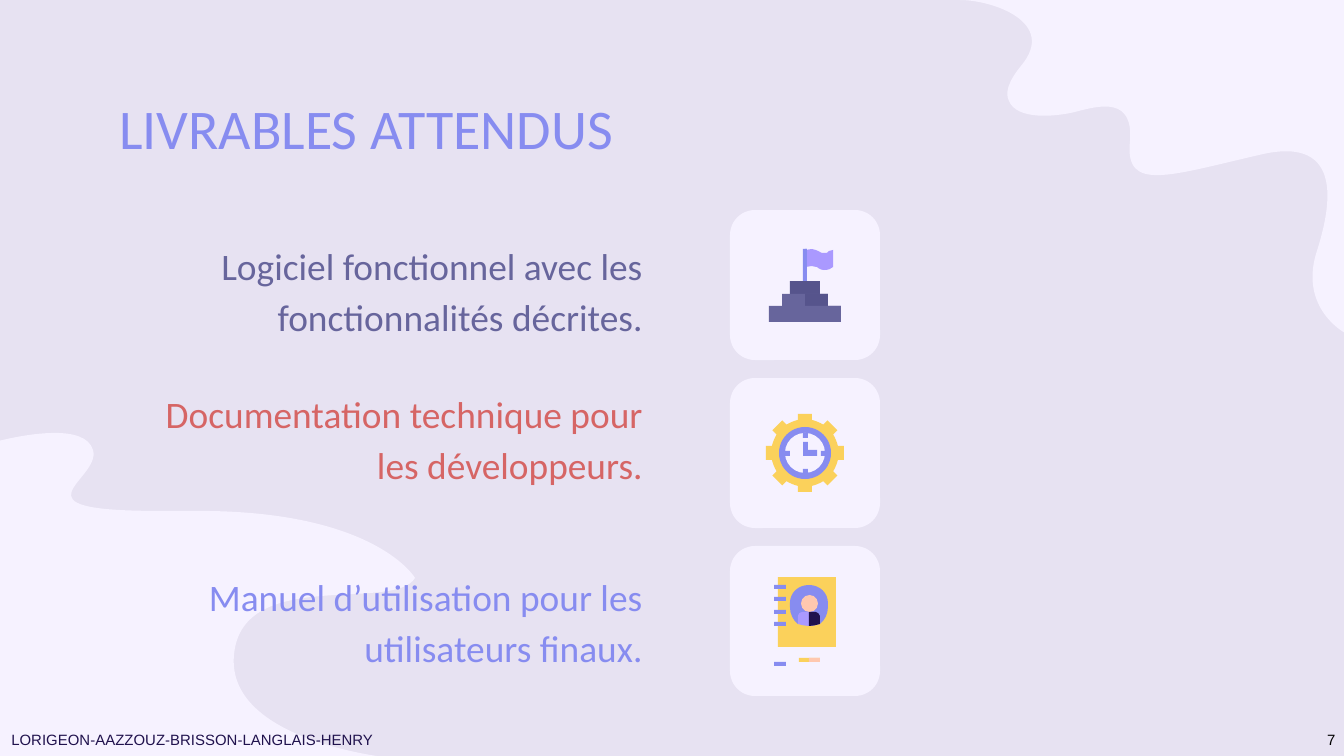
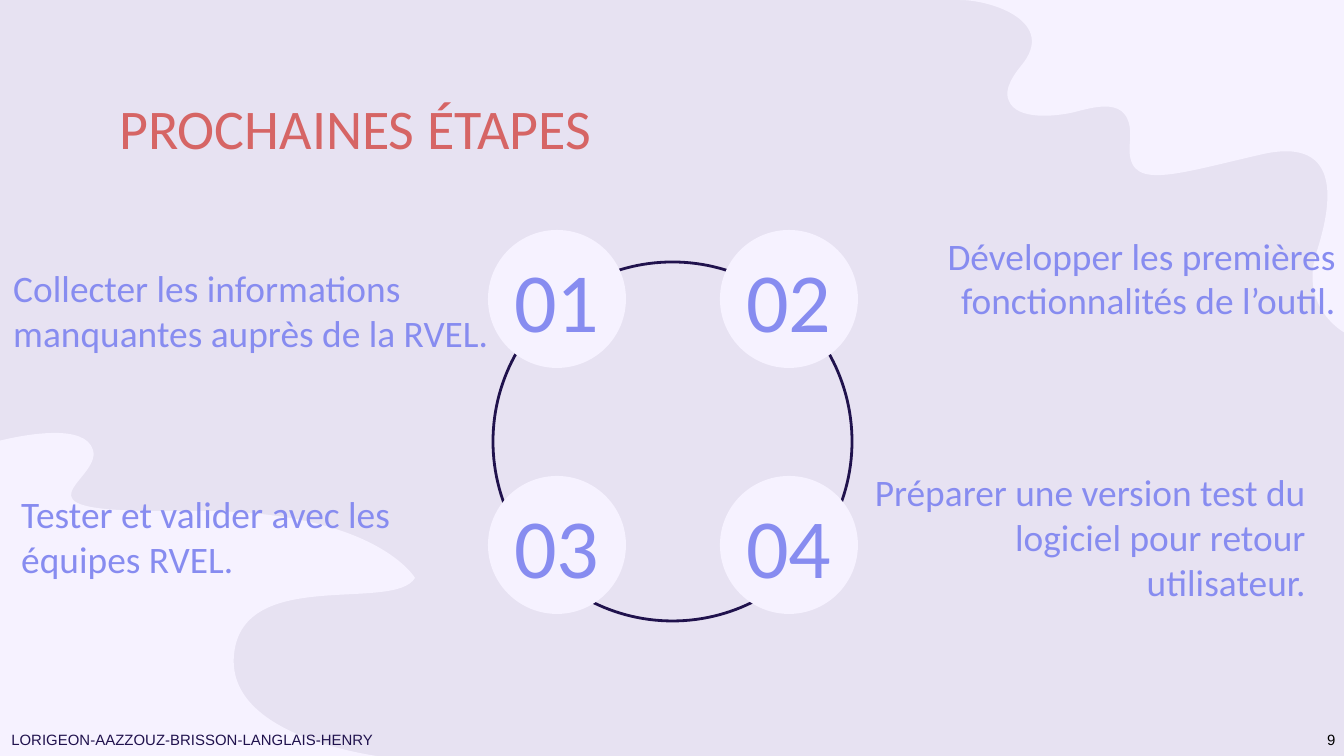
import math

from lxml import etree
from pptx import Presentation
from pptx import util as u
from pptx.dml.color import RGBColor
from pptx.enum import shapes, text
from pptx.oxml.ns import qn

PX = 914400 / 134.4
WIDTH, HEIGHT = 1344, 756

LILAC, PALE, NAVY, BLACK = "E7E2F2", "F6F2FF", "20124D", "000000"
BLUE, RED, SLATE, DARK_SLATE = "878CF0", "D66565", "67659C", "56548C"
VIOLET, YELLOW, PEACH = "AA99FF", "FBD15B", "FFC8AF"

RECT = shapes.MSO_SHAPE.RECTANGLE
ROUND = shapes.MSO_SHAPE.ROUNDED_RECTANGLE
OVAL = shapes.MSO_SHAPE.OVAL
ALIGN = {"l": text.PP_ALIGN.LEFT, "c": text.PP_ALIGN.CENTER, "r": text.PP_ALIGN.RIGHT}

TEAM = "LORIGEON-AAZZOUZ-BRISSON-LANGLAIS-HENRY"

# Outlines: a pair is a line to a point, six numbers are a cubic curve.
TOP_BLOB = [
    (1316, 254), (1329, 214, 1349, 133, 1259, 155),
    (1168, 176, 1125, 192, 1130, 142), (1134, 97, 1101, 105, 1075, 112),
    (1054, 117, 1017, 120, 1009, 101), (1005, 93, 1008, 82, 1021, 66),
    (1058, 22, 992, 0, 960, 0), (1345, 0), (1345, 333),
    (1345, 333, 1300, 309, 1316, 254),
]
BOTTOM_BLOB = [
    (55, 433), (73, 433, 89, 437, 93, 450), (102, 480, 5, 511, 159, 511),
    (167, 511, 176, 511, 185, 511), (190, 511, 194, 511, 199, 511),
    (376, 511, 415, 578, 415, 578), (394, 613, 242, 566, 234, 655),
    (226, 742, 391, 758, 391, 758), (-5, 758), (-5, 442),
    (-5, 442, 27, 433, 55, 433),
]
FLAG = [
    (812, 249), (809, 249, 806, 250, 805, 251), (805, 269), (806, 267),
    (808, 267, 809, 266, 812, 266), (813, 266, 814, 267, 817, 267),
    (817, 267, 820, 270, 824, 270), (828, 270, 831, 269, 833, 267),
    (833, 250), (829, 251), (828, 253, 827, 253, 824, 253),
    (823, 253, 820, 253, 818, 251), (818, 251, 814, 249, 812, 249),
]
CLOCK_HANDS = [(803, 442), (803, 456), (817, 456), (817, 450), (808, 450), (808, 442)]
HAIR = [
    (809, 585), (798, 585, 790, 593, 790, 603), (790, 607),
    (790, 614, 793, 620, 798, 624), (802, 616), (816, 616), (820, 624),
    (825, 620, 828, 614, 828, 607), (828, 603), (828, 593, 820, 585, 809, 585),
]
RIGHT_BUST = [
    (809, 626), (813, 626, 816, 625, 820, 624), (820, 616),
    (820, 614, 817, 612, 816, 612),
]
BUST = [
    (802, 612), (800, 612, 798, 614, 798, 616), (798, 624),
    (802, 625, 805, 626, 809, 626),
] + RIGHT_BUST[1:]


def px(n):
    return u.Emu(round(n * PX))


def rgb(color):
    return RGBColor.from_string(color)


def paint(sp, fill, line=None, weight=1.5):
    sp.shadow.inherit = False
    sp.fill.solid()
    sp.fill.fore_color.rgb = rgb(fill)
    if line:
        sp.line.color.rgb = rgb(line)
        sp.line.width = u.Pt(weight)
    else:
        sp.line.fill.background()


def add_preset(parent, kind, x, y, w, h, fill, **line):
    sp = parent.shapes.add_shape(kind, px(x), px(y), px(w), px(h))
    paint(sp, fill, **line)
    return sp


def add_outline(parent, outline, fill):
    """Draw a closed outline, joining the three points of each curve into one segment."""
    points = [(px(part[i]), px(part[i + 1]))
              for part in outline for i in range(0, len(part), 2)]
    builder = parent.shapes.build_freeform(*points[0], scale=1.0)
    builder.add_line_segments(points[1:], close=True)
    sp = builder.convert_to_shape()
    lines = iter(list(sp._element.iter(qn("a:lnTo"))))
    for part in outline[1:]:
        first = next(lines)
        if len(part) == 6:
            curve = etree.Element(qn("a:cubicBezTo"))
            first.addprevious(curve)
            for segment in (first, next(lines), next(lines)):
                curve.append(segment[0])
                segment.getparent().remove(segment)
    paint(sp, fill)


def write(slide, words, x, y, w, h, *, size=20, color=BLUE, font="Calibri", align="l",
          middle=False, wrap=True, inset=0.1, spacing=None, after=None):
    tf = slide.shapes.add_textbox(px(x), px(y), px(w), px(h)).text_frame
    tf.word_wrap = wrap
    tf.vertical_anchor = text.MSO_ANCHOR.MIDDLE if middle else text.MSO_ANCHOR.TOP
    tf.margin_left = tf.margin_right = u.Inches(0.1)
    tf.margin_top = tf.margin_bottom = u.Inches(inset)
    p = tf.paragraphs[0]
    p.alignment = ALIGN[align]
    if spacing:
        p.line_spacing = spacing
    if after:
        p.space_after = u.Pt(after)
    r = p.add_run()
    r.text = words
    r.font.name, r.font.size, r.font.color.rgb = font, u.Pt(size), rgb(color)


def add_slide(prs, title, title_color, number):
    """Add a slide with the shared background, blobs, title and footer."""
    slide = prs.slides.add_slide(prs.slide_layouts[6])
    slide.background.fill.solid()
    slide.background.fill.fore_color.rgb = rgb(LILAC)
    for blob in (TOP_BLOB, BOTTOM_BLOB):
        add_outline(slide, blob, PALE)
    write(slide, title, 106, 80, 1133, 85, size=30, color=title_color)
    footer = dict(size=8, font="Arial", align="c", wrap=False, inset=0.05)
    write(slide, TEAM, -3, 724, 391, 32, color=NAVY, **footer)
    write(slide, str(number), 1314, 724, 31, 32, color=BLACK, **footer)
    return slide


def gear_outline(cx, cy, teeth=8):
    """One tooth, rounded towards its neighbours, turned around the centre."""
    tooth = [(32, -11, 33, -7), (39, -7), (39, 7), (33, 7), (32, 11)]
    outline, leaving = [], ()
    for i in range(teeth + 1):
        turn = 2 * math.pi * i / teeth
        cos, sin = math.cos(turn), math.sin(turn)
        turned = [tuple(n for x, y in zip(part[::2], part[1::2])
                        for n in (cx + x * cos - y * sin, cy + x * sin + y * cos))
                  for part in tooth]
        arriving = turned[0]
        outline.append(leaving + arriving if leaving else arriving[2:])
        if i < teeth:
            outline += turned[1:4]
            leaving = turned[4]
    return outline


def add_flag_icon(slide):
    icon = slide.shapes.add_group_shape()
    add_outline(icon, FLAG, VIOLET)
    for x, y, w, h, fill in (
        (803, 249, 4, 36, BLUE), (805, 249, 2, 36, BLUE),
        (790, 281, 30, 17, DARK_SLATE), (805, 281, 15, 17, DARK_SLATE),
        (782, 294, 46, 17, SLATE), (769, 306, 72, 16, SLATE),
        (805, 294, 23, 17, DARK_SLATE), (805, 306, 36, 16, SLATE),
    ):
        add_preset(icon, RECT, x, y, w, h, fill)


def add_clock_icon(slide):
    icon = slide.shapes.add_group_shape()
    cx, cy = 805, 453
    add_outline(icon, gear_outline(cx, cy), YELLOW)
    for radius, fill in ((26, BLUE), (20, PALE)):
        add_preset(icon, OVAL, cx - radius, cy - radius, 2 * radius, 2 * radius, fill)
    for dx, dy in ((0, -18), (18, 0), (0, 18), (-18, 0)):
        add_preset(icon, RECT, cx + dx - 2, cy + dy - 2, 5, 5, BLUE)
    add_outline(icon, CLOCK_HANDS, BLUE)


def add_notebook_icon(slide):
    icon = slide.shapes.add_group_shape()
    add_preset(icon, RECT, 778, 577, 58, 70, YELLOW)
    add_outline(icon, HAIR, BLUE)
    add_preset(icon, RECT, 799, 658, 21, 4, YELLOW)
    for y in (662, 622, 610, 597, 585):
        add_preset(icon, RECT, 774, y, 12, 4, BLUE)
    add_outline(icon, BUST, VIOLET)
    add_preset(icon, OVAL, 801, 595, 17, 17, PEACH)
    add_outline(icon, [(809, 612)] + RIGHT_BUST, NAVY)
    add_preset(icon, RECT, 809, 658, 11, 4, PEACH)


def add_deliverables(prs):
    slide = add_slide(prs, "LIVRABLES ATTENDUS", BLUE, 7)
    deliverables = (
        ("Manuel d’utilisation pour les utilisateurs finaux.", BLUE, 106, 554, 550, 138),
        ("Documentation technique pour les développeurs.", RED, 121, 371, 535, 136),
        ("Logiciel fonctionnel avec les fonctionnalités décrites.", SLATE, 74, 223, 582, 122),
    )
    for words, color, *box in deliverables:
        write(slide, words, *box, color=color, align="r", spacing=1.15, after=16)
    for i in range(len(deliverables)):
        card = add_preset(slide, ROUND, 730, 210 + 168 * i, 150, 150, PALE)
        card.adjustments[0] = 1 / 6
    add_notebook_icon(slide)
    add_clock_icon(slide)
    add_flag_icon(slide)


def add_next_steps(prs):
    slide = add_slide(prs, "PROCHAINES ÉTAPES", RED, 9)
    steps = (
        ("Collecter les informations manquantes auprès de la RVEL.", 0, 284, 504),
        ("Développer les premières fonctionnalités de l’outil.", 856, 251, 493),
        ("Tester et valider avec les équipes RVEL.", 8, 510, 477),
        ("Préparer une version test du logiciel pour retour utilisateur.", 858, 510, 461),
    )
    for i, (words, x, y, w) in enumerate(steps):
        write(slide, words, x, y, w, 53, align="lr"[i % 2], middle=True)
    add_preset(slide, OVAL, 493, 262, 359, 359, LILAC, line=NAVY)
    for i in range(len(steps)):
        row, col = divmod(i, 2)
        left, top = 488 + 232 * col, 230 + 246 * row
        add_preset(slide, OVAL, left, top, 138, 138, PALE)
        write(slide, f"{i + 1:02}", left - 48, top + 19, 234, 99,
              size=45, align="c", middle=True)


def main():
    prs = Presentation()
    prs.slide_width, prs.slide_height = px(WIDTH), px(HEIGHT)
    add_deliverables(prs)
    add_next_steps(prs)
    prs.save("out.pptx")


if __name__ == "__main__":
    main()
